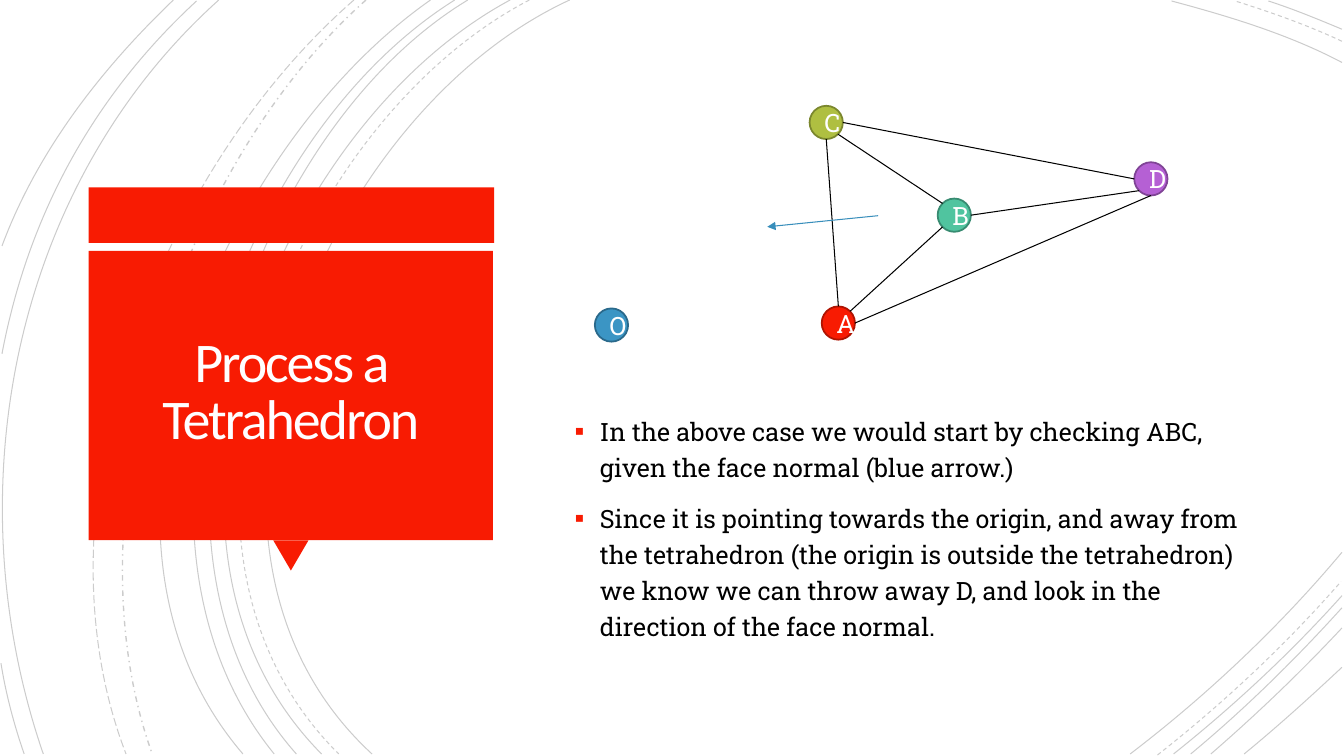
import math
from typing import NamedTuple

import lxml.etree
import pptx
import pptx.dml.color
import pptx.enum.dml
import pptx.enum.shapes
import pptx.enum.text
import pptx.oxml.ns
import pptx.util

Inches = pptx.util.Inches
Pt = pptx.util.Pt
qn = pptx.oxml.ns.qn
Dash = pptx.enum.dml.MSO_LINE
Preset = pptx.enum.shapes.MSO_SHAPE
Point = tuple[float, float]

COLOURS = {"red": "F81B02", "black": "000000", "white": "FFFFFF", "title": "FFFEFF", "arrow": "388EBB"}
BODY_FONT = "Roboto Slab"
NODE_SIZE = 0.33
BULLETS = (
    "In the above case we would start by checking ABC, given the face normal (blue arrow.)",
    "Since it is pointing towards the origin, and away from the tetrahedron (the origin is "
    "outside the tetrahedron) we know we can throw away D, and look in the direction of the "
    "face normal.",
)


class Arc(NamedTuple):
    start: Point
    control_1: Point
    control_2: Point
    end: Point
    dash: Dash = Dash.SOLID
    width: float = 0.75


class Panel(NamedTuple):
    preset: Preset
    left: float
    top: float
    width: float
    height: float
    rotation: float = 0


class Node(NamedTuple):
    left: float
    top: float
    fill: str
    outline: str


class Edge(NamedTuple):
    """Angles are in degrees, clockwise from the right side of each node."""
    start: str
    start_angle: float
    end: str
    end_angle: float


ARCS = (
    Arc((5.65, 0), (3.15, 1.15), (1.43, 5.4), (3.69, 7.48)),
    Arc((13.31, 0.62), (12.78, 0.34), (12.18, 0.16), (11.62, 0.01)),
    Arc((11.21, 7.48), (11.97, 6.9), (12.69, 6.22), (13.31, 5.48)),
    Arc((5.25, 0), (2.85, 1.25), (1.23, 5.37), (3.36, 7.48), Dash.DASH),
    Arc((13.31, 0.41), (12.97, 0.25), (12.6, 0.12), (12.25, 0.01), Dash.DASH),
    Arc((11.48, 7.49), (12.13, 6.98), (12.75, 6.4), (13.3, 5.77), Dash.DASH),
    Arc((5.06, 0), (2.7, 1.27), (1.1, 5.37), (3.19, 7.48)),
    Arc((13.31, 0.29), (13.07, 0.19), (12.83, 0.09), (12.58, 0.01)),
    Arc((11.64, 7.48), (12.23, 7.01), (12.8, 6.48), (13.31, 5.91)),
    Arc((4.64, 0), (2.44, 1.33), (1.1, 5.41), (2.94, 7.48)),
    Arc((11.81, 7.48), (12.34, 7.04), (12.84, 6.55), (13.31, 6.03)),
    Arc((4.51, 0), (2.31, 1.38), (0.97, 5.33), (2.72, 7.48)),
    Arc((12.01, 7.48), (12.46, 7.09), (12.9, 6.67), (13.31, 6.23)),
    Arc((4.27, 0), (2.17, 1.47), (0.53, 5.29), (2.41, 7.48)),
    Arc((12.34, 7.48), (12.67, 7.21), (12.99, 6.92), (13.31, 6.62)),
    Arc((3.63, 0), (1.76, 1.66), (0.65, 5.09), (1.51, 7.48), Dash.DASH_DOT, 1),
    Arc((3.51, 0), (1.57, 1.69), (0.29, 4.99), (1.25, 7.48), Dash.LONG_DASH),
    Arc((2.17, 0), (0.11, 1.85), (-0.46, 4.9), (0.43, 7.48)),
    Arc((1.95, 0.01), (0.92, 0.96), (0.28, 2.14), (0.02, 3.51)),
    Arc((0.01, 6.58), (0.06, 6.89), (0.14, 7.19), (0.24, 7.48)),
    Arc((1.72, 0), (1, 0.69), (0.37, 1.5), (0.02, 2.44)),
)
PANELS = (
    Panel(Preset.RECTANGLE, 0.88, 1.86, 4.02, 0.55),
    Panel(Preset.ISOSCELES_TRIANGLE, 2.71, 5.36, 0.35, 0.3, 180),
    Panel(Preset.RECTANGLE, 0.88, 2.49, 4.01, 2.87),
)
NODES = {
    "C": Node(8.03, 1.05, "AFBF41", "7B872E"),
    "B": Node(9.3, 1.97, "50C49F", "388B71"),
    "D": Node(11.25, 1.61, "B560D4", "804496"),
    "A": Node(8.15, 3.04, "F81B02", "AF1301"),
    "O": Node(5.9, 3.06, "3B95C4", "2A698B"),
}
EDGES = (
    Edge("A", 270, "C", 90),
    Edge("A", 315, "B", 135),
    Edge("B", 225, "C", 45),
    Edge("A", 0, "D", 90),
    Edge("C", 0, "D", 180),
    Edge("D", 135, "B", 0),
)


def rgb(value: str) -> pptx.dml.color.RGBColor:
    return pptx.dml.color.RGBColor.from_string(value)


def format_font(paragraph, name: str, size: float, colour: str) -> None:
    paragraph.font.name = name
    paragraph.font.size = Pt(size)
    paragraph.font.color.rgb = rgb(colour)


def place(shape, left: float, top: float, width: float, height: float) -> None:
    shape.left, shape.top = Inches(left), Inches(top)
    shape.width, shape.height = Inches(width), Inches(height)


def draw_arc(slide, arc: Arc) -> None:
    """Draw the control polygon, then turn its three segments into one cubic curve."""
    start, *others = [(Inches(x), Inches(y)) for x, y in arc[:4]]
    builder = slide.shapes.build_freeform(*start)
    builder.add_line_segments(others, close=False)
    shape = builder.convert_to_shape()
    segments = shape.element.xpath(".//a:lnTo")
    curve = lxml.etree.SubElement(segments[0].getparent(), qn("a:cubicBezTo"))
    for segment in segments:
        curve.append(segment[0])
        segment.getparent().remove(segment)
    shape.shadow.inherit = False
    shape.fill.background()
    shape.line.color.rgb = rgb(COLOURS["black"])
    shape.line.width = Pt(arc.width)
    shape.line.dash_style = arc.dash
    colour = shape.element.xpath("./p:spPr/a:ln//a:srgbClr")[0]
    lxml.etree.SubElement(colour, qn("a:alpha"), val="20000")


def draw_panel(slide, panel: Panel) -> None:
    box = (Inches(length) for length in panel[1:5])
    shape = slide.shapes.add_shape(panel.preset, *box)
    shape.rotation = panel.rotation
    shape.shadow.inherit = False
    shape.fill.solid()
    shape.fill.fore_color.rgb = rgb(COLOURS["red"])
    shape.line.fill.background()


def write_title(title) -> None:
    place(title, 0.97, 2.56, 3.83, 2.7)
    frame = title.text_frame
    frame.text = "Process a Tetrahedron"
    frame.vertical_anchor = pptx.enum.text.MSO_ANCHOR.MIDDLE
    frame.margin_left = frame.margin_right = frame.margin_top = frame.margin_bottom = Inches(0.1)
    paragraph = frame.paragraphs[0]
    paragraph.alignment = pptx.enum.text.PP_ALIGN.CENTER
    paragraph.line_spacing = 0.85
    format_font(paragraph, "Calibri", 40, COLOURS["title"])
    title.element.xpath(".//a:defRPr")[0].set("spc", "-150")


def write_body(body) -> None:
    place(body, 5.6, 4.02, 6.86, 2.61)
    frame = body.text_frame
    frame.text = "\n".join(BULLETS)
    frame.auto_size = pptx.enum.text.MSO_AUTO_SIZE.TEXT_TO_FIT_SHAPE
    for paragraph in frame.paragraphs:
        paragraph.line_spacing = 1.2
        paragraph.space_before = Pt(10)
    for properties in body.element.xpath(".//a:pPr"):
        properties.set("marL", str(Inches(0.25)))
        properties.set("indent", str(Inches(-0.25)))
        bullet_colour = lxml.etree.SubElement(properties, qn("a:buClr"))
        lxml.etree.SubElement(bullet_colour, qn("a:srgbClr"), val=COLOURS["red"])
        lxml.etree.SubElement(properties, qn("a:buSzPct"), val="110000")
        lxml.etree.SubElement(properties, qn("a:buChar"), char="▪")
    for paragraph in frame.paragraphs:
        format_font(paragraph, BODY_FONT, 18, COLOURS["black"])


def draw_node(slide, label: str, node: Node) -> None:
    size = Inches(NODE_SIZE)
    shape = slide.shapes.add_shape(Preset.OVAL, Inches(node.left), Inches(node.top), size, size)
    shape.shadow.inherit = False
    shape.fill.solid()
    shape.fill.fore_color.rgb = rgb(node.fill)
    shape.line.color.rgb = rgb(node.outline)
    shape.line.width = Pt(1.25)
    shape.text_frame.text = label
    paragraph = shape.text_frame.paragraphs[0]
    paragraph.alignment = pptx.enum.text.PP_ALIGN.CENTER
    format_font(paragraph, BODY_FONT, 18, COLOURS["white"])


def rim_point(node: Node, angle: float) -> Point:
    radius, radians = NODE_SIZE / 2, math.radians(angle)
    return node.left + radius * (1 + math.cos(radians)), node.top + radius * (1 + math.sin(radians))


def draw_line(slide, start: Point, end: Point, colour: str, arrow: bool = False) -> None:
    ends = (Inches(length) for length in (*start, *end))
    connector = slide.shapes.add_connector(pptx.enum.shapes.MSO_CONNECTOR.STRAIGHT, *ends)
    connector.line.color.rgb = rgb(colour)
    connector.line.width = Pt(0.75)
    properties = connector.element.spPr
    if arrow:
        lxml.etree.SubElement(properties.find(qn("a:ln")), qn("a:tailEnd"), type="triangle")
    lxml.etree.SubElement(properties, qn("a:effectLst"))


def main() -> None:
    presentation = pptx.Presentation()
    presentation.slide_width, presentation.slide_height = Inches(13.33), Inches(7.5)
    slide = presentation.slides.add_slide(presentation.slide_layouts[1])
    title, body = slide.placeholders
    for arc in ARCS:
        draw_arc(slide, arc)
    for panel in PANELS:
        draw_panel(slide, panel)
    slide.shapes[-1].element.addnext(title.element)
    title.element.addnext(body.element)
    write_title(title)
    write_body(body)
    for label, node in NODES.items():
        draw_node(slide, label, node)
    for edge in EDGES:
        start = rim_point(NODES[edge.start], edge.start_angle)
        end = rim_point(NODES[edge.end], edge.end_angle)
        draw_line(slide, start, end, COLOURS["black"])
    draw_line(slide, (8.71, 2.14), (7.61, 2.25), COLOURS["arrow"], arrow=True)
    presentation.save("out.pptx")


if __name__ == "__main__":
    main()
